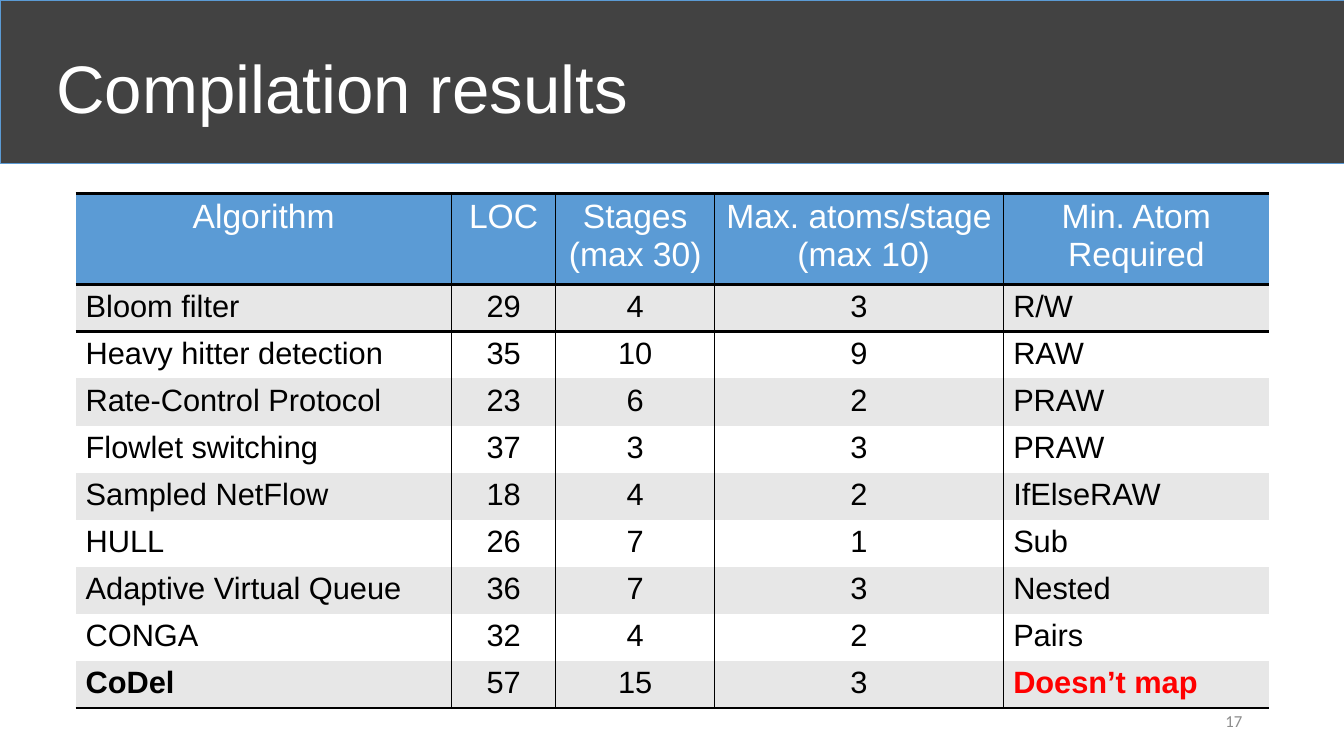
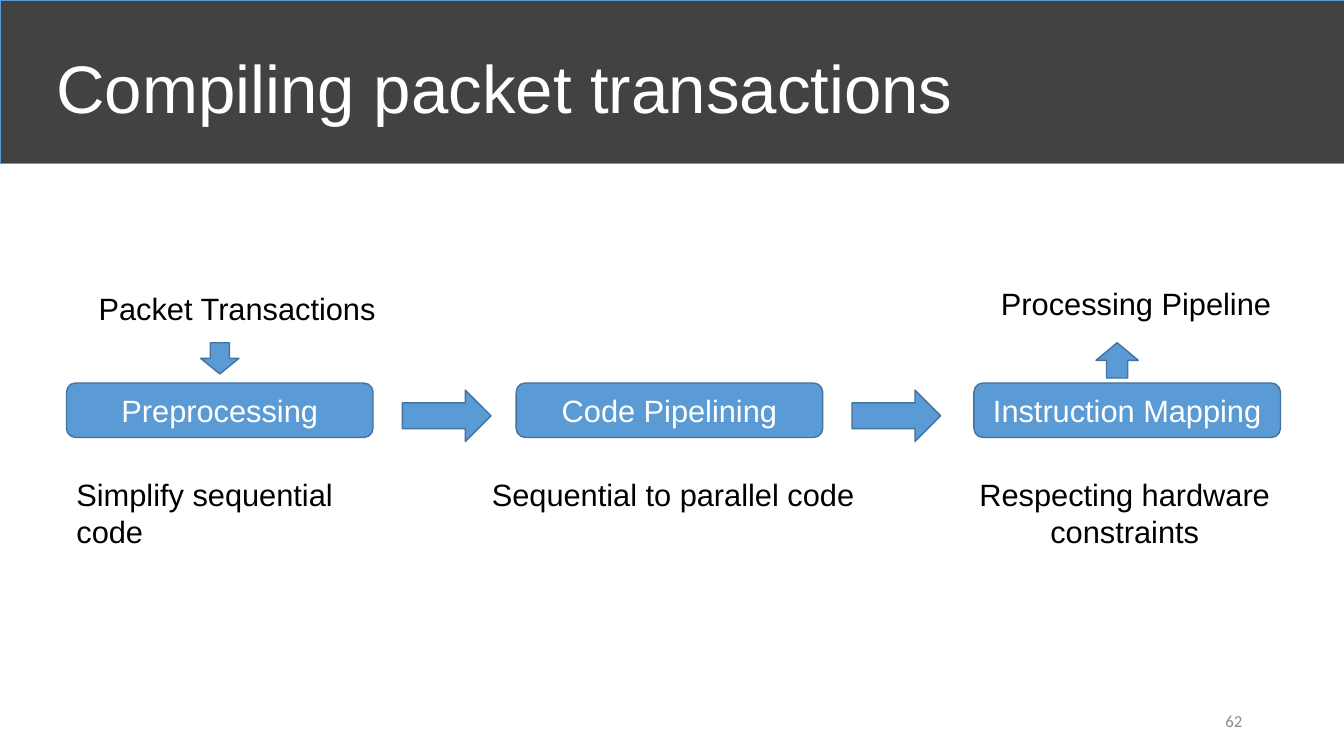
from lxml import etree
from pptx import Presentation
from pptx.dml.color import RGBColor
from pptx.enum.shapes import MSO_SHAPE as Preset
from pptx.enum.text import MSO_ANCHOR as Anchor, PP_ALIGN as Align
from pptx.oxml.ns import qn
from pptx.util import Inches, Pt

BAND = RGBColor(0x42, 0x42, 0x42)
BLUE = RGBColor(0x5B, 0x9B, 0xD5)
OUTLINE = RGBColor(0x43, 0x73, 0x9E)
STRIPE = RGBColor(0xE7, 0xE7, 0xE7)
GREY = RGBColor(0x8C, 0x8C, 0x8C)
RED = RGBColor(0xFF, 0x00, 0x00)
WHITE = RGBColor(0xFF, 0xFF, 0xFF)
BLACK = RGBColor(0x00, 0x00, 0x00)
NO_TABLE_STYLE = "{2D5ABB26-0587-4C30-8999-92F81FD0307C}"


def write(frame, text, size, color=BLACK, align=Align.LEFT, font="Arial"):
    """Fill a text frame and give all its runs one look."""
    frame.text = text
    frame.word_wrap = True
    for paragraph in frame.paragraphs:
        paragraph.alignment = align
        for run in paragraph.runs:
            run.font.name = font
            run.font.size = Pt(size)
            run.font.color.rgb = color


def add_block(slide, preset, box, fill=BLUE, line=OUTLINE, line_width=1):
    block = slide.shapes.add_shape(preset, *map(Inches, box))
    block.shadow.inherit = False
    block.fill.solid()
    block.fill.fore_color.rgb = fill
    block.line.color.rgb = line
    block.line.width = Pt(line_width)
    return block


# Shared parts: band and title place on the layout, title and number per slide
prs = Presentation()
prs.slide_width, prs.slide_height = Inches(13.33), Inches(7.5)
layout = prs.slide_layouts[5]
layout_title = layout.placeholders[0]
layout_title.left, layout_title.top = Inches(0.46), Inches(0.13)
layout_title.width, layout_title.height = Inches(11.5), Inches(1.45)

for title, number in [("Compilation results", "17"), ("Compiling packet transactions", "62")]:
    slide = prs.slides.add_slide(layout)
    write(slide.shapes.title.text_frame, title, 48, WHITE)
    slide.shapes.title.text_frame.vertical_anchor = Anchor.MIDDLE
    page = slide.shapes.add_textbox(Inches(9.42), Inches(6.95), Inches(3), Inches(0.4))
    write(page.text_frame, number, 12, GREY, Align.RIGHT, "Calibri")
    page.text_frame.vertical_anchor = Anchor.MIDDLE

results_slide, stages_slide = prs.slides
band = add_block(results_slide, Preset.RECTANGLE, (0, 0, 13.33, 1.62), BAND, BLUE, 0.5)
layout.shapes._spTree.insert(2, band._element)

# Compilation results
results = [
    ("Algorithm", "LOC", "Stages\n(max 30)", "Max. atoms/stage\n (max 10)", "Min. Atom Required"),
    ("Bloom filter", "29", "4", "3", "R/W"),
    ("Heavy hitter detection", "35", "10", "9", "RAW"),
    ("Rate-Control Protocol", "23", "6", "2", "PRAW"),
    ("Flowlet switching", "37", "3", "3", "PRAW"),
    ("Sampled NetFlow", "18", "4", "2", "IfElseRAW"),
    ("HULL", "26", "7", "1", "Sub"),
    ("Adaptive Virtual Queue", "36", "7", "3", "Nested"),
    ("CONGA", "32", "4", "2", "Pairs"),
    ("CoDel", "57", "15", "3", "Doesn’t map"),
]
column_widths = [3.73, 1.03, 1.58, 2.86, 2.64]
header_height, row_height = 0.84, 0.45
last_row, last_column = len(results) - 1, len(column_widths) - 1

table = results_slide.shapes.add_table(
    len(results), len(column_widths), Inches(0.75), Inches(1.92),
    Inches(sum(column_widths)), Inches(header_height + last_row * row_height)).table
table._tbl.tblPr.find(qn("a:tableStyleId")).text = NO_TABLE_STYLE
for column, width in zip(table.columns, column_widths):
    column.width = Inches(width)

for r, result in enumerate(results):
    header = r == 0
    table.rows[r].height = Inches(header_height if header else row_height)
    for c, text in enumerate(result):
        cell = table.cell(r, c)
        centred = header or 0 < c < last_column
        write(cell.text_frame, text, 24 if header else 22, WHITE if header else BLACK,
              Align.CENTER if centred else Align.LEFT)
        # Border widths in points, in the order the schema asks for
        borders = {
            "a:lnL": 1 if c > 0 else 0,
            "a:lnR": 1 if c < last_column else 0,
            "a:lnT": 2 if r <= 1 else 0,
            "a:lnB": 2 if r in (0, last_row) else 0,
        }
        for side, points in borders.items():
            if points:
                border = etree.SubElement(cell._tc.get_or_add_tcPr(), qn(side), w=str(Pt(points)))
                solid = etree.SubElement(border, qn("a:solidFill"))
                etree.SubElement(solid, qn("a:srgbClr"), val=str(BLACK))
        cell.fill.solid()
        cell.fill.fore_color.rgb = BLUE if header else STRIPE if r % 2 else WHITE

for c in (0, last_column):
    table.cell(last_row, c).text_frame.paragraphs[0].runs[0].font.bold = True
unmapped = table.cell(last_row, last_column).text_frame.paragraphs[0].runs[0]
unmapped.font.color.rgb = RED

# Compiling packet transactions
step_width, step_height, step_top = 3.04, 0.54, 3.8
steps = [("Preprocessing", 0.66), ("Code Pipelining", 5.12), ("Instruction Mapping", 9.66)]
for step, left in steps:
    block = add_block(stages_slide, Preset.ROUNDED_RECTANGLE,
                      (left, step_top, step_width, step_height))
    write(block.text_frame, step, 22, WHITE, Align.CENTER)
    block.text_frame.vertical_anchor = Anchor.MIDDLE
for step, left in steps[:-1]:
    add_block(stages_slide, Preset.RIGHT_ARROW, (left + step_width + 0.29, 3.87, 0.88, 0.51))
add_block(stages_slide, Preset.DOWN_ARROW, (1.99, 3.4, 0.38, 0.31))
add_block(stages_slide, Preset.UP_ARROW, (10.87, 3.4, 0.42, 0.35))

caption_top = 4.67
captions = [
    ("Packet Transactions", (0.88, 2.83, 3.38, 0.47), Align.LEFT),
    ("Processing Pipeline", (9.83, 2.78, 3.33, 0.47), Align.LEFT),
    ("Simplify sequential code", (0.66, caption_top, step_width, 0.84), Align.LEFT),
    ("Sequential to parallel code", (4.78, caption_top, 3.89, 0.47), Align.LEFT),
    ("Respecting hardware constraints", (9.38, caption_top, 3.55, 0.84), Align.CENTER),
]
for caption, box, align in captions:
    label = stages_slide.shapes.add_textbox(*map(Inches, box))
    write(label.text_frame, caption, 22, align=align)

prs.save("out.pptx")
